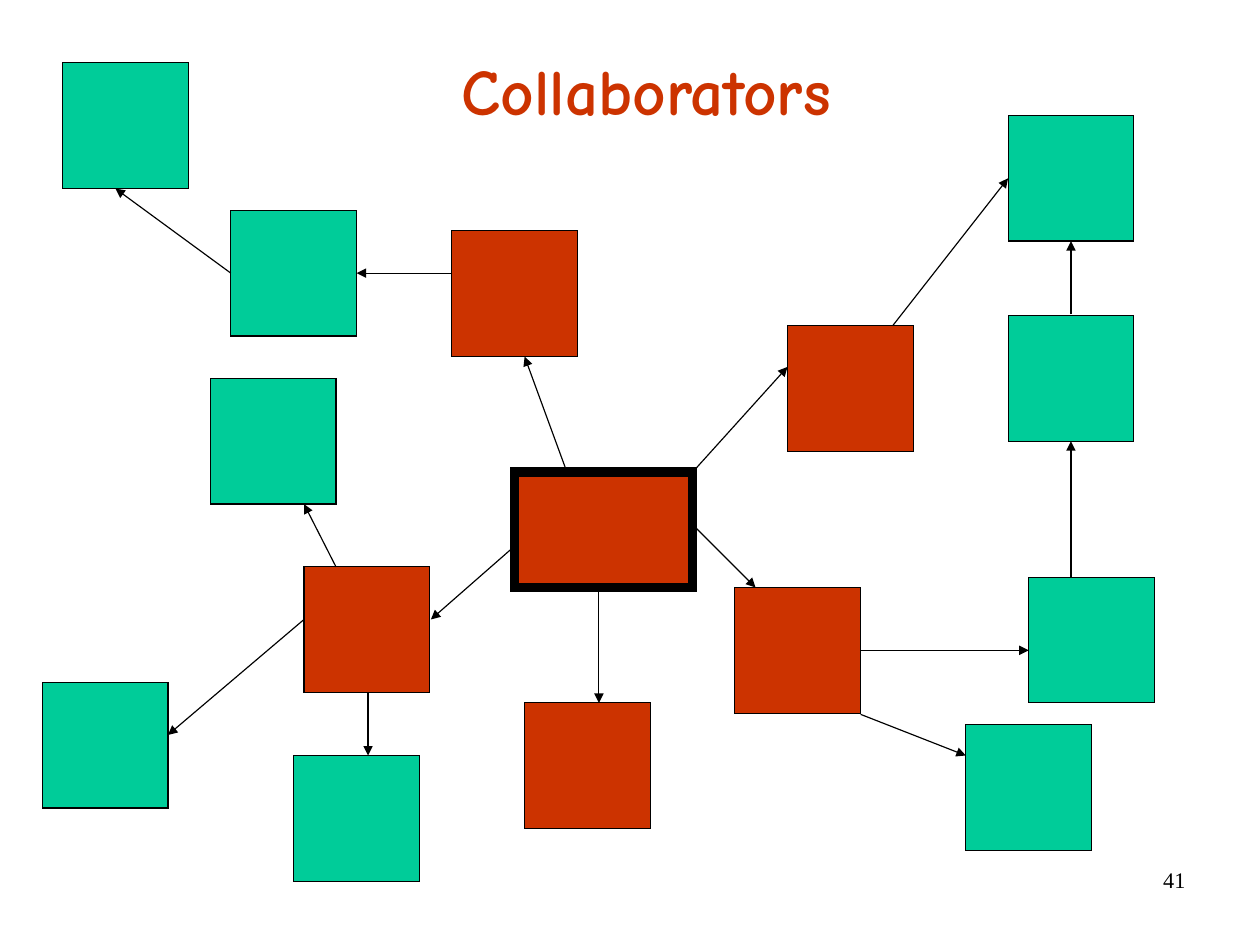
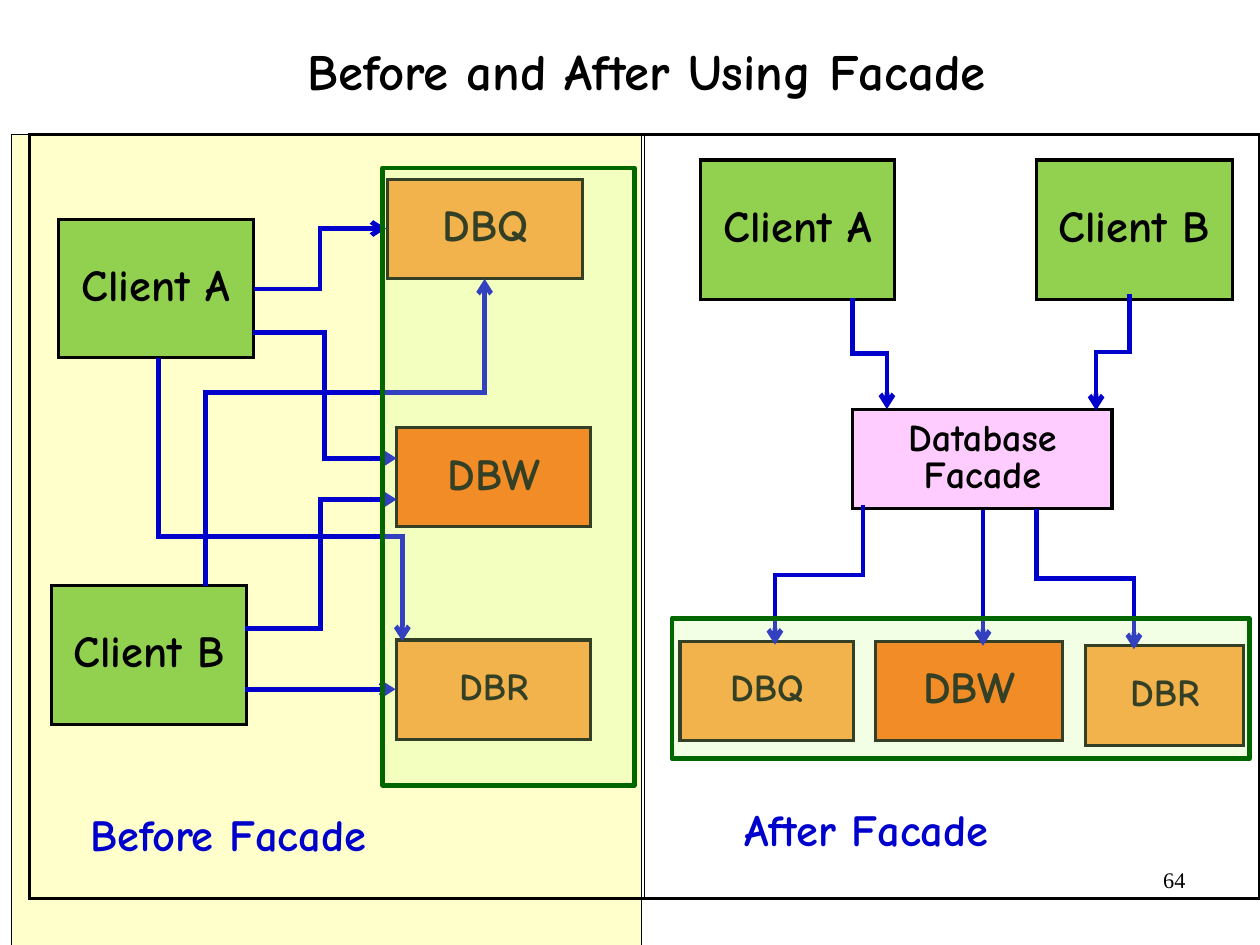
from lxml import etree
from pptx import Presentation
from pptx.dml.color import RGBColor
from pptx.enum import shapes, text
from pptx.oxml import ns
from pptx.util import Inches, Pt

BLACK = RGBColor(0, 0, 0)
RED = RGBColor(0xCC, 0x33, 0x00)
TEAL = RGBColor(0x00, 0xCC, 0x99)
CREAM = RGBColor(0xFF, 0xFF, 0xCC)
GREEN = RGBColor(0x92, 0xD0, 0x50)
AMBER = RGBColor(0xFF, 0x99, 0x33)
ORANGE = RGBColor(0xFF, 0x66, 0x00)
PINK = RGBColor(0xFF, 0xCC, 0xFF)
BLUE = RGBColor(0x00, 0x00, 0xCC)
LIME = RGBColor(0xCC, 0xFF, 0x99)
FOREST = RGBColor(0x00, 0x66, 0x00)

HAND = "Comic Neue"
SERIF = "Times New Roman"
LEFT, MID, RIGHT = text.PP_ALIGN.LEFT, text.PP_ALIGN.CENTER, text.PP_ALIGN.RIGHT
SIDE = 1.1
# The page is 28 by 21 centimetres
PAGE = (28 / 2.54, 21 / 2.54)

# Slide 1: top left corners of the squares, then arrows from point to point
HUB = (4.5, 4.13, 1.56, 1.01)
NEAR = [(2.66, 4.96), (6.43, 5.14), (4.59, 6.15), (6.89, 2.85), (3.95, 2.02)]
FAR = [(1.84, 3.31), (0.37, 5.97), (9, 5.05), (8.82, 2.76), (8.82, 1.01),
       (2.02, 1.84), (0.55, 0.55), (8.45, 6.34), (2.57, 6.61)]
LINKS = [
    ((5.24, 5.14), (5.24, 6.15)), ((6.06, 4.13), (6.89, 3.21)),
    ((4.96, 4.13), (4.59, 3.12)), ((2.02, 2.39), (1.01, 1.65)),
    ((4.5, 4.78), (3.77, 5.42)), ((6.06, 4.59), (6.61, 5.14)),
    ((7.53, 5.69), (9, 5.69)), ((9.37, 5.05), (9.37, 3.86)),
    ((9.37, 2.75), (9.37, 2.11)), ((7.81, 2.85), (8.82, 1.56)),
    ((2.66, 5.42), (1.47, 6.43)), ((2.94, 4.96), (2.66, 4.41)),
    ((3.95, 2.39), (3.12, 2.39)), ((3.22, 6.06), (3.22, 6.61)),
    ((7.53, 6.25), (8.45, 6.61)),
]

# Slide 2: label, place, fill, text size
BEFORE = [
    ("Client A", (0.51, 1.92, 1.71, 1.21), GREEN, 28),
    ("Client B", (0.45, 5.12, 1.71, 1.22), GREEN, 28),
    ("DBQ", (3.39, 1.57, 1.71, 0.87), AMBER, 28),
    ("DBW", (3.47, 3.74, 1.7, 0.87), ORANGE, 28),
    ("DBR", (3.47, 5.6, 1.7, 0.87), AMBER, 24),
]
AFTER = [
    ("Client A", (6.13, 1.4, 1.7, 1.22), GREEN, 28),
    ("Client B", (9.07, 1.4, 1.71, 1.22), GREEN, 28),
    ("Database Facade", (7.46, 3.58, 2.27, 0.87), PINK, 24),
    ("DBQ", (5.95, 5.61, 1.52, 0.87), AMBER, 24),
    ("DBW", (7.66, 5.61, 1.64, 0.87), ORANGE, 28),
    ("DBR", (9.5, 5.65, 1.38, 0.87), AMBER, 24),
]
# Start, end, direction of the first leg (None: straight), place of the bend
CALLS = [
    ((2.22, 2.53), (3.38, 2), "across", 0.5),
    ((2.21, 2.91), (3.47, 4.01), "across", 0.5),
    ((1.39, 3.13), (3.52, 5.61), "down", 0.63),
    ((1.8, 5.13), (4.24, 2.44), "up", 0.63),
    ((2.14, 5.5), (3.47, 4.37), "across", 0.5),
    ((2.14, 6.03), (3.46, 6.03), None, 0.5),
]
ROUTES = [
    ((7.46, 2.61), (7.76, 3.58), "down", 0.5),
    ((9.88, 2.57), (9.59, 3.59), "down", 0.5),
    ((7.55, 4.42), (6.78, 5.64), "down", 0.5),
    ((9.07, 4.45), (9.92, 5.68), "down", 0.5),
    ((8.6, 4.46), (8.6, 5.65), None, 0.5),
]
CAPTIONS = [("Before Facade", (0.68, 7.09, 3.64, 0.48)),
            ("After Facade", (6.4, 7.05, 3.3, 0.48))]
ZONES = [(5.88, 5.41, 5.05, 1.23), (3.35, 1.47, 2.2, 5.4)]


def write(shape, words, size=28, color=BLACK, font=HAND, bold=True, align=MID,
          space=0.8, anchor=text.MSO_ANCHOR.TOP, pad=(0.11, 0.06)):
    frame = shape.text_frame
    frame.word_wrap = True
    frame.vertical_anchor = anchor
    frame.margin_left = frame.margin_right = Inches(pad[0])
    frame.margin_top = frame.margin_bottom = Inches(pad[1])
    para = frame.paragraphs[0]
    para.alignment, para.line_spacing = align, space
    run = para.add_run()
    run.text = words
    run.font.name, run.font.size, run.font.bold = font, Pt(size), bold
    run.font.color.rgb = color


def label(slide, words, place, **style):
    write(slide.shapes.add_textbox(*map(Inches, place)), words, **style)


def box(slide, place, fill=None, line=BLACK, width=0.75, alpha=None, join="miter"):
    shape = slide.shapes.add_shape(shapes.MSO_SHAPE.RECTANGLE, *map(Inches, place))
    shape.shadow.inherit = False
    shape.line.color.rgb, shape.line.width = line, Pt(width)
    etree.SubElement(shape.line._get_or_add_ln(), ns.qn("a:" + join))
    if fill is None:
        shape.fill.background()
    else:
        shape.fill.solid()
        shape.fill.fore_color.rgb = fill
    if alpha is not None:
        tint = shape._element.spPr.find(ns.qn("a:solidFill"))[0]
        etree.SubElement(tint, ns.qn("a:alpha"), val=str(alpha * 1000))
    return shape


def link(slide, start, end, color=BLACK, width=0.75, head=None, leg=None, bend=0.5):
    kind = shapes.MSO_CONNECTOR.ELBOW if leg else shapes.MSO_CONNECTOR.STRAIGHT
    wire = slide.shapes.add_connector(kind, *map(Inches, start + end))
    wire.line.color.rgb, wire.line.width = color, Pt(width)
    props = wire._element.spPr
    etree.SubElement(props, ns.qn("a:effectLst"))
    edge = wire.line._get_or_add_ln()
    etree.SubElement(edge, ns.qn("a:miter"))
    if head:
        etree.SubElement(edge, ns.qn("a:tailEnd"), type=head)
    if leg in ("down", "up"):
        stand(wire, start, end)
    if bend != 0.5:
        guides = props.find(ns.qn("a:prstGeom")).get_or_add_avLst()
        etree.SubElement(guides, ns.qn("a:gd"), name="adj1",
                         fmla=f"val {round(bend * 100000)}")


def stand(wire, start, end):
    """Turn an elbow by a quarter so that its first leg is vertical."""
    (x1, y1), (x2, y2) = start, end
    long, wide = abs(y2 - y1), abs(x2 - x1)
    wire.left, wire.top = Inches((x1 + x2 - long) / 2), Inches((y1 + y2 - wide) / 2)
    wire.width, wire.height = Inches(long), Inches(wide)
    rising, right = y2 < y1, x2 > x1
    turn = 270 if right and not rising else 90
    frame = wire._element.spPr.find(ns.qn("a:xfrm"))
    frame.set("rot", str(turn * 60000))
    frame.set("flipH", str(int(right or rising)))
    frame.set("flipV", str(int(right and rising)))


def start_slide(deck, number):
    slide = deck.slides.add_slide(deck.slide_layouts[6])
    label(slide, number, (7.9, 7.53, 2.57, 0.57), size=14, font=SERIF,
          bold=False, align=RIGHT, space=1.0, pad=(0.1, 0.05))
    return slide


def draw_web(deck):
    slide = start_slide(deck, "41")
    box(slide, HUB, RED, width=6)
    for corners, fill in ((NEAR, RED), (FAR, TEAL)):
        for corner in corners:
            box(slide, corner + (SIDE, SIDE), fill)
    for start, end in LINKS:
        link(slide, start, end, head="triangle")
    label(slide, "Collaborators", (3.93, 0.38, 4.05, 0.79), size=41,
          color=RED, align=LEFT, space=1.0)


def draw_facade(deck):
    slide = start_slide(deck, "64")
    box(slide, (0.1, 1.18, 5.51, 7.13), CREAM)
    for nodes, wires in ((BEFORE, CALLS), (AFTER, ROUTES)):
        for words, place, fill, size in nodes:
            write(box(slide, place, fill, width=2), words, size=size,
                  anchor=text.MSO_ANCHOR.MIDDLE)
        for start, end, leg, bend in wires:
            link(slide, start, end, BLUE, 3, "arrow", leg, bend)
    box(slide, (0.26, 1.18, 10.76, 6.68), width=2)
    link(slide, (5.64, 1.17), (5.64, 7.85), width=1)
    for words, place in CAPTIONS:
        label(slide, words, place, color=BLUE, align=LEFT)
    label(slide, "Before and After Using Facade", (1.45, 0.39, 8.42, 0.54), size=32)
    for place in ZONES:
        box(slide, place, LIME, FOREST, 3, alpha=25, join="round")


def main():
    deck = Presentation()
    deck.slide_width, deck.slide_height = map(Inches, PAGE)
    deck.element.sldSz.attrib.pop("type", None)
    draw_web(deck)
    draw_facade(deck)
    deck.save("out.pptx")


if __name__ == "__main__":
    main()
